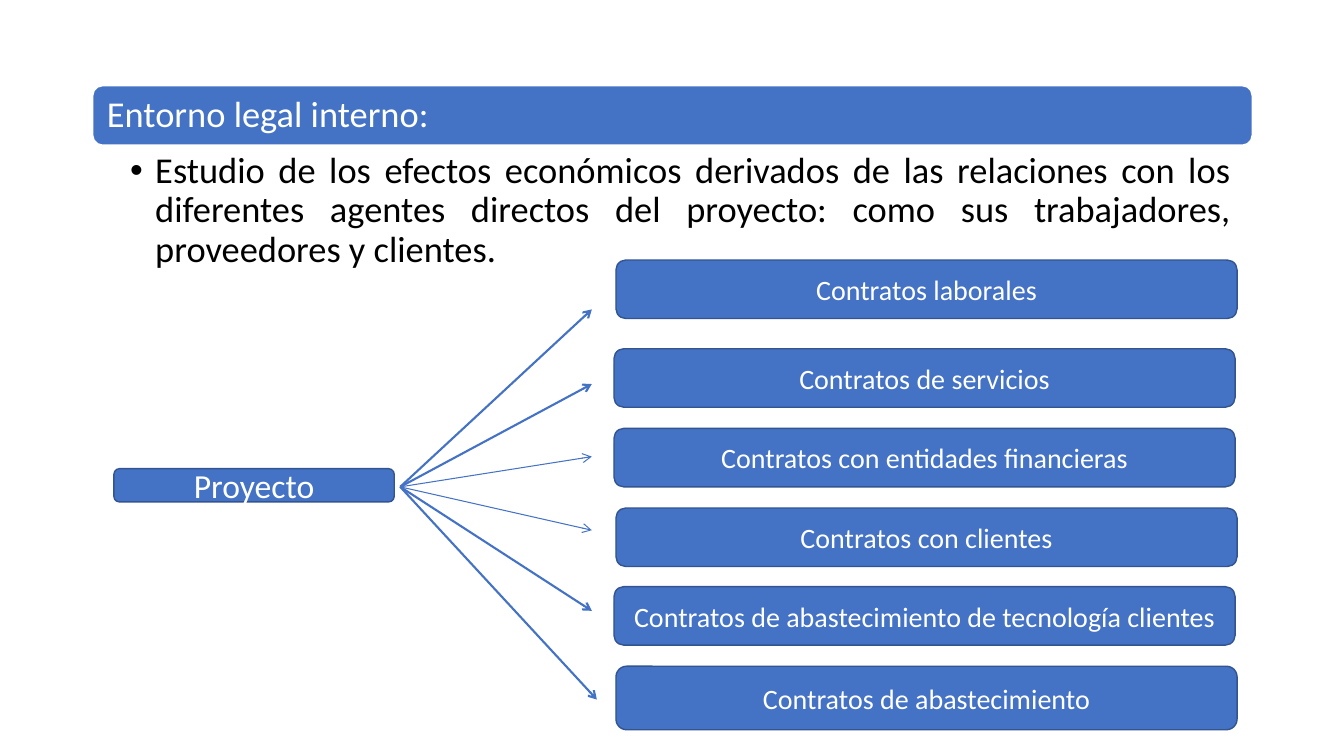
from dataclasses import dataclass

from lxml import etree
from pptx import Presentation
from pptx.dml.color import RGBColor
from pptx.enum.shapes import MSO_CONNECTOR, MSO_SHAPE
from pptx.enum.text import MSO_ANCHOR, MSO_AUTO_SIZE, PP_ALIGN
from pptx.oxml.ns import qn
from pptx.util import Inches, Pt

ROUND_RECT = MSO_SHAPE.ROUNDED_RECTANGLE
STRAIGHT = MSO_CONNECTOR.STRAIGHT
LEFT, CENTER, JUSTIFY = PP_ALIGN.LEFT, PP_ALIGN.CENTER, PP_ALIGN.JUSTIFY
TOP, MIDDLE = MSO_ANCHOR.TOP, MSO_ANCHOR.MIDDLE
NO_AUTOFIT = MSO_AUTO_SIZE.NONE


@dataclass(frozen=True)
class Theme:
    font: str = "Calibri"
    blue: RGBColor = RGBColor(0x44, 0x72, 0xC4)
    edge: RGBColor = RGBColor(0x32, 0x54, 0x91)
    white: RGBColor = RGBColor(0xFF, 0xFF, 0xFF)
    black: RGBColor = RGBColor(0, 0, 0)
    heading: int = 26
    project: int = 24
    contract: int = 20


class SlideBuilder:
    def __init__(self, s, theme):
        self.s, self.t = s, theme

    def add_text(self, sp, text, size, color, align=CENTER, anchor=MIDDLE,
                 insets=(0.1, 0.05, 0.1, 0.05), spacing=1.0):
        tf = sp.text_frame
        tf.word_wrap, tf.auto_size, tf.vertical_anchor = True, NO_AUTOFIT, anchor
        tf.margin_left, tf.margin_top, tf.margin_right, tf.margin_bottom = map(Inches, insets)
        p = tf.paragraphs[0]
        p.alignment, p.line_spacing = align, spacing
        r = p.add_run()
        r.text = text
        r.font.name, r.font.size = self.t.font, Pt(size)
        r.font.color.rgb = color
        return p

    def box(self, at, line):
        sp = self.s.shapes.add_shape(ROUND_RECT, *map(Inches, at))
        sp.shadow.inherit = False
        sp.fill.solid()
        sp.fill.fore_color.rgb = self.t.blue
        sp.line.color.rgb = line
        sp.line.width = Pt(1)
        return sp

    def label_box(self, at, text, size):
        self.add_text(self.box(at, self.t.edge), text, size, self.t.white)

    def title(self, at, text):
        sp = self.s.shapes.title
        sp.left, sp.top, sp.width, sp.height = map(Inches, at)
        self.add_text(sp, text, self.t.heading, self.t.white, LEFT,
                      insets=(0.11,) * 4, spacing=0.9)
        # Bring the title in front of its banner
        self.s.shapes._spTree.append(sp._element)

    def bullet(self, at, text):
        sp = self.s.shapes.add_textbox(*map(Inches, at))
        p = self.add_text(sp, text, self.t.heading, self.t.black, JUSTIFY, TOP,
                          (0.37, 0.04, 0.2, 0.04), 0.9)
        pPr = p._p.get_or_add_pPr()
        pPr.set("marL", str(Inches(0.25)))
        pPr.set("indent", str(Inches(-0.25)))
        etree.SubElement(pPr, qn("a:buFont")).set("typeface", "Arial")
        etree.SubElement(pPr, qn("a:buChar")).set("char", "•")

    def arrow(self, start, end, width):
        c = self.s.shapes.add_connector(STRAIGHT, *map(Inches, start + end))
        c.line.color.rgb = self.t.blue
        c.line.width = Pt(width)
        etree.SubElement(c.line._get_or_add_ln(), qn("a:tailEnd")).set("type", "arrow")
        etree.SubElement(c._element.spPr, qn("a:effectLst"))


prs = Presentation()
prs.slide_width, prs.slide_height = Inches(13.33), Inches(7.5)
theme = Theme()
b = SlideBuilder(prs.slides.add_slide(prs.slide_layouts[5]), theme)

# Heading banner and definition
b.box((0.92, 0.85, 11.5, 0.59), theme.white)
b.title((0.95, 0.88, 11.44, 0.54), "Entorno legal interno:")
b.bullet((0.92, 1.47, 11.5, 1.27),
         "Estudio de los efectos económicos derivados de las relaciones con los "
         "diferentes agentes directos del proyecto: como sus trabajadores, "
         "proveedores y clientes.")

# Project and the contracts it leads to
b.label_box((1.13, 4.65, 2.78, 0.33), "Proyecto", theme.project)

# Text, box left, top and height, arrow tip, arrow width
contracts = [
    ("Contratos laborales", 6.11, 2.58, 0.58, (5.87, 3.07), 1.5),
    ("Contratos de servicios", 6.09, 3.46, 0.58, (5.87, 3.81), 1.5),
    ("Contratos con entidades financieras", 6.09, 4.25, 0.58, (5.87, 4.53), 0.75),
    ("Contratos con clientes", 6.11, 5.04, 0.58, (5.87, 5.26), 0.75),
    ("Contratos de abastecimiento de tecnología clientes", 6.09, 5.82, 0.58, (5.87, 6.06), 1.5),
    ("Contratos de abastecimiento", 6.11, 6.61, 0.63, (5.92, 6.94), 1.5),
]
for text, left, top, height, tip, width in contracts:
    b.label_box((left, top, 6.16, height), text, theme.contract)
    b.arrow((3.97, 4.83), tip, width)

prs.save("out.pptx")
